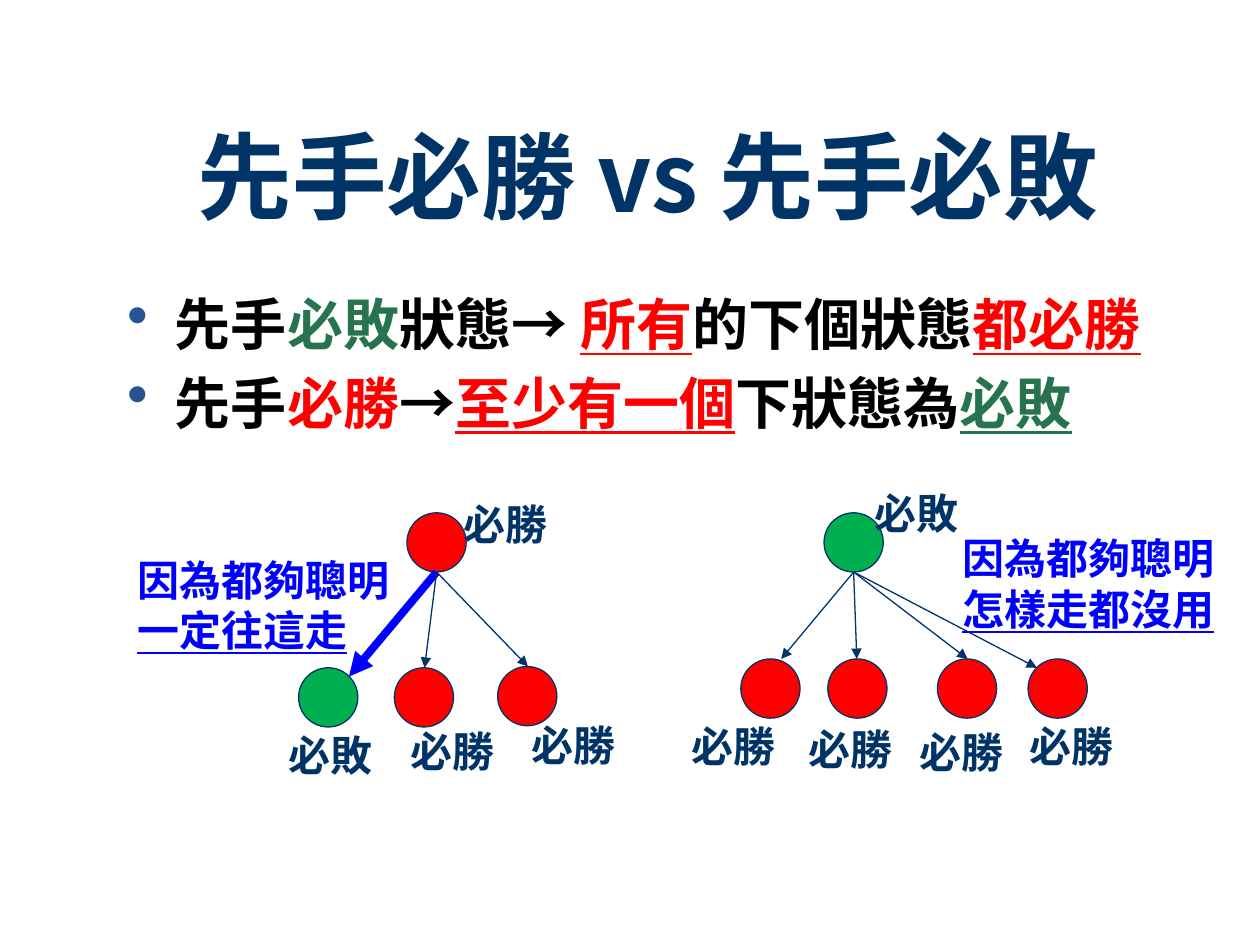
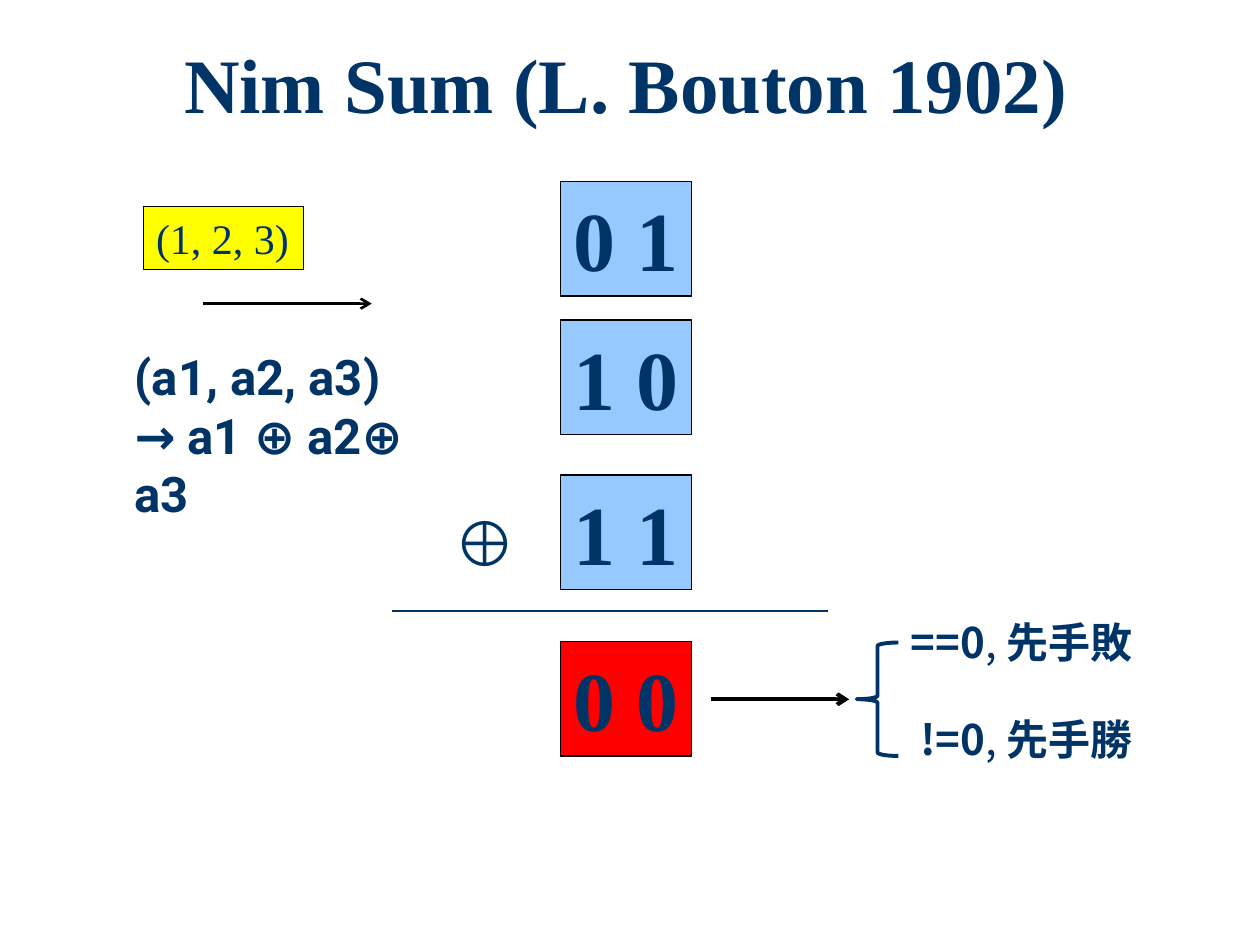
import pptx
import pptx.util
import pptx.dml.color
import pptx.enum.shapes
import pptx.enum.text
import pptx.oxml
import pptx.oxml.ns
from dataclasses import dataclass

Inches = pptx.util.Inches
Pt = pptx.util.Pt
Form = pptx.enum.shapes.MSO_SHAPE


@dataclass(frozen=True)
class Theme:
    navy: str = "003366"
    black: str = "000000"
    red: str = "FF0000"
    green: str = "00B050"
    moss: str = "26734D"
    blue: str = "0000FF"
    sky: str = "95C9FF"
    yellow: str = "FFFF00"
    dot: str = "275393"
    cjk: str = "Noto Sans CJK SC"
    serif: str = "Times New Roman"
    sans: str = "Roboto"
    head: int = 54
    name: int = 44
    digit: int = 48
    sign: int = 36
    body: int = 32
    math: int = 28
    label: int = 24
    lead: float = 1.2
    thin: float = 0.75


T = Theme()
WIN, LOSE = "必勝", "必敗"

# Content of slide 1: a run is (text, changes to the style)
RULES = [
    [("先手", {}), (LOSE, {"color": T.moss}), ("狀態→ ", {}),
     ("所有", {"color": T.red, "line": True}), ("的下個狀態", {}),
     ("都必勝", {"color": T.red, "line": True})],
    [("先手", {}), (WIN, {"color": T.red}), ("→", {}),
     ("至少有一個", {"color": T.red, "line": True}), ("下狀態為", {}),
     (LOSE, {"color": T.moss, "line": True})],
]
# Node: state, place, label place; a child adds the arrow tip inside its box
TREES = [
    {"root": (WIN, (3.23, 4.07), (3.58, 3.91)),
     "kids": [(LOSE, (2.37, 5.3), (2.19, 5.74), (0.4, 0.07)),
              (WIN, (3.13, 5.3), (3.16, 5.71), (0.24, 0)),
              (WIN, (3.95, 5.29), (4.12, 5.66), (0.24, 0))],
     "best": 0, "note": ("因為都夠聰明", "一定往這走"), "spot": (0.99, 4.35)},
    {"root": (LOSE, (6.54, 4.07), (6.84, 3.82)),
     "kids": [(WIN, (5.88, 5.23), (5.39, 5.67), (0.32, 0)),
              (WIN, (6.57, 5.23), (6.32, 5.69), (0.23, 0)),
              (WIN, (7.44, 5.23), (7.2, 5.72), (0.24, 0)),
              (WIN, (8.16, 5.23), (8.07, 5.67), (0.07, 0.07))],
     "best": None, "note": ("因為都夠聰明", "怎樣走都沒用"), "spot": (7.54, 4.18)},
]
NODE = 0.47

# Content of slide 2
BITS = [("0 1", 1.44, T.sky), ("1 0", 2.54, T.sky), ("1 1", 3.77, T.sky),
        ("0 0", 5.09, T.red)]
CASES = [("==0", "先手敗", 4.84), (" !=0", "先手勝", 5.61)]
MATH = ["(a1, a2, a3)", "→ a1 ⊕ a2⊕ a3"]


def tint(code):
    return pptx.dml.color.RGBColor.from_string(code)


def add(node, tag, **attrs):
    child = pptx.oxml.parse_xml(f"<a:{tag} {pptx.oxml.ns.nsdecls('a')}/>")
    for key, val in attrs.items():
        child.set(key, str(val))
    node.append(child)
    return child


def dot(para):
    """Give a paragraph a hanging round bullet."""
    props = para._p.get_or_add_pPr()
    props.set("marL", str(Inches(0.38)))
    props.set("indent", str(-Inches(0.38)))
    add(add(props, "buClr"), "srgbClr", val=T.dot)
    add(props, "buSzPct", val=110000)
    add(props, "buChar", char="•")


def style(run, size, font, color=T.navy, bold=True, line=False):
    face = run.font
    face.size, face.name, face.bold = Pt(size), font, bold
    face.color.rgb = tint(color)
    if line:
        face.underline = True
    props = run._r.get_or_add_rPr()
    props.find(pptx.oxml.ns.qn("a:latin")).addnext(add(props, "ea", typeface=font))


def write(shape, paras, size, font, lead=T.lead, wrap=False, center=False,
          bullet=False, **base):
    """Fill a shape with paragraphs, each a string or a list of runs."""
    frame = shape.text_frame
    frame.word_wrap = wrap
    anchor = pptx.enum.text.MSO_ANCHOR
    frame.vertical_anchor = anchor.MIDDLE if center else anchor.TOP
    align = pptx.enum.text.PP_ALIGN
    for i, runs in enumerate(paras):
        para = frame.add_paragraph() if i else frame.paragraphs[0]
        para.alignment = align.CENTER if center else align.LEFT
        para.line_spacing = Pt(round(size * lead, 1))
        if bullet:
            if i:
                para.space_before = Pt(size * 0.2)
            dot(para)
        for text, extra in [(runs, {})] if isinstance(runs, str) else runs:
            run = para.add_run()
            run.text = text
            style(run, size, font, **{**base, **extra})


def note(slide, box, paras, size, font, **how):
    write(slide.shapes.add_textbox(*map(Inches, box)), paras, size, font, **how)


def title(slide, left, top, text, size, font, lead):
    note(slide, (left, top, 8, 0.92), [text], size, font, lead=lead,
         wrap=True, center=True)


def block(slide, form, box, fill=None, edge=T.black, width=T.thin):
    shape = slide.shapes.add_shape(form, *map(Inches, box))
    shape.shadow.inherit = False
    if fill:
        shape.fill.solid()
        shape.fill.fore_color.rgb = tint(fill)
    else:
        shape.fill.background()
    shape.line.color.rgb = tint(edge)
    shape.line.width = Pt(width)
    return shape


def link(slide, start, end, color=T.navy, width=T.thin, tip=None):
    kind = pptx.enum.shapes.MSO_CONNECTOR.STRAIGHT
    wire = slide.shapes.add_connector(kind, *map(Inches, (*start, *end)))
    wire.line.color.rgb = tint(color)
    wire.line.width = Pt(width)
    if tip:
        add(wire.line._get_or_add_ln(), "tailEnd", type=tip)
    add(wire._element.spPr, "effectLst")


def node(slide, state, spot, tag):
    fill = T.red if state == WIN else T.green
    block(slide, Form.OVAL, (*spot, NODE, NODE), fill, T.navy)
    note(slide, (*tag, 0.88, 0.5), [state], T.label, T.cjk)


def tree(slide, data):
    node(slide, *data["root"])
    x, y = data["root"][1]
    foot = (x + NODE / 2, y + NODE)
    for i, (state, spot, tag, tip) in enumerate(data["kids"]):
        node(slide, state, spot, tag)
        look = (T.blue, 4.5) if i == data["best"] else (T.navy, T.thin)
        link(slide, foot, (spot[0] + tip[0], spot[1] + tip[1]), *look, "triangle")
    first, last = data["note"]
    note(slide, (*data["spot"], 2.22, 0.91), [first, [(last, {"line": True})]],
         T.label, T.cjk, color=T.blue)


def states(slide):
    title(slide, 1.14, 0.93, "先手必勝 vs 先手必敗", T.head, T.cjk, T.lead)
    note(slide, (0.91, 2.25, 8.68, 1.5), RULES, T.body, T.cjk, wrap=True,
         bullet=True, color=T.black)
    for data in TREES:
        tree(slide, data)


def nim(slide):
    title(slide, 0.97, 0.29, "Nim Sum (L. Bouton 1902)", T.name, T.serif, 0.9)

    # Start position and its formula
    pile = block(slide, Form.RECTANGLE, (1.14, 1.64, 1.27, 0.5), T.yellow)
    write(pile, ["(1, 2, 3)"], T.label, T.serif, bold=False)
    link(slide, (1.61, 2.41), (2.95, 2.41), T.black, 1.5, "arrow")
    note(slide, (0.97, 2.7, 2.5, 1.5), MATH, T.math, T.sans, wrap=True)

    # Binary column
    for text, top, fill in BITS:
        cell = block(slide, Form.RECTANGLE, (4.45, top, 1.04, 0.91), fill)
        write(cell, [text], T.digit, T.serif)
    note(slide, (3.5, 3.95, 0.71, 0.71), ["⊕"], T.sign, T.serif)
    link(slide, (3.11, 4.85), (6.57, 4.85))

    # Outcome
    link(slide, (5.64, 5.55), (6.74, 5.55), T.black, 2.25, "arrow")
    block(slide, Form.LEFT_BRACE, (6.8, 5.1, 0.33, 0.9), None, T.navy, 2.25)
    for test, result, top in CASES:
        runs = [(test, {}), (", ", {"bold": False}), (result, {})]
        note(slide, (7.13, top, 2.2, 0.5), [runs], T.label, T.cjk, wrap=True)


def main():
    deck = pptx.Presentation()
    deck.slide_width, deck.slide_height = Inches(10), Inches(7.5)
    for draw in (states, nim):
        draw(deck.slides.add_slide(deck.slide_layouts[6]))
    deck.save("out.pptx")


if __name__ == "__main__":
    main()
